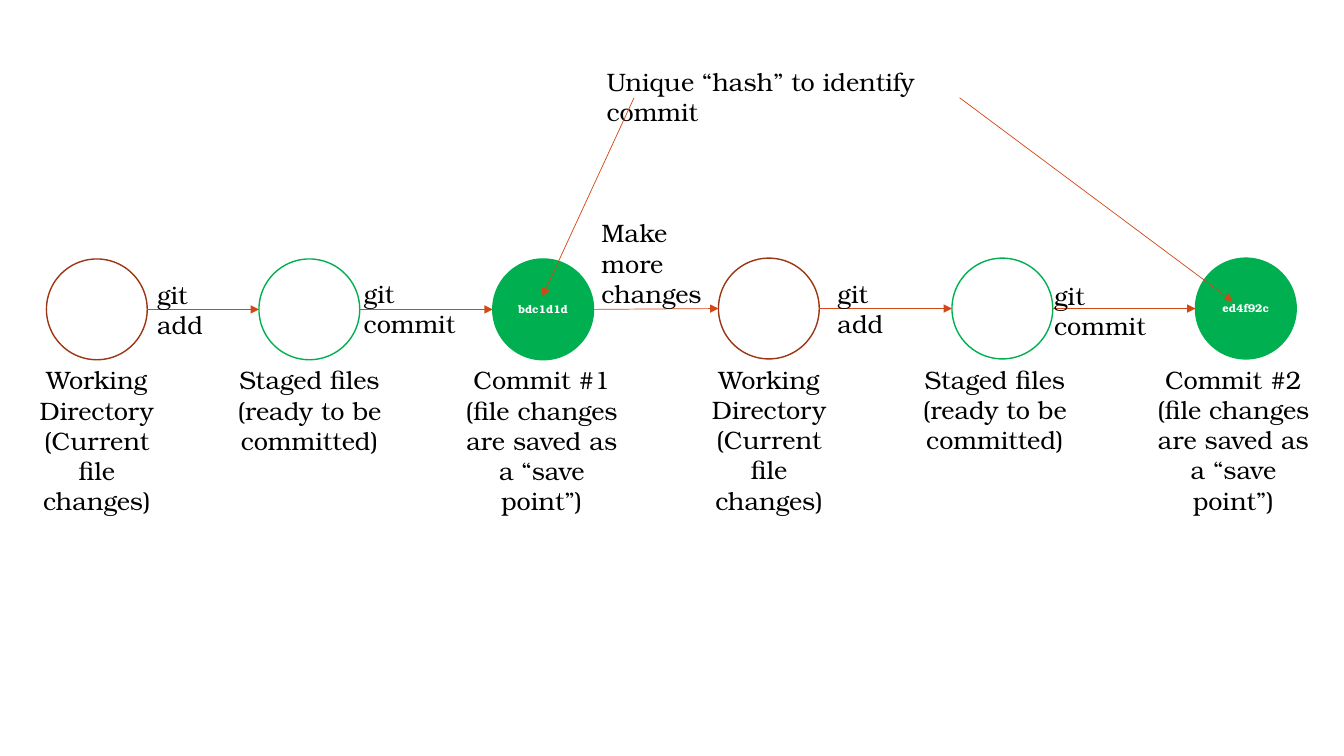
from itertools import pairwise

from lxml import etree
from pptx import Presentation
from pptx.dml.color import RGBColor
from pptx.enum.shapes import MSO_CONNECTOR, MSO_SHAPE
from pptx.enum.text import MSO_ANCHOR, MSO_AUTO_SIZE, PP_ALIGN
from pptx.oxml.ns import qn
from pptx.util import Pt

FONT = "TeX Gyre Bonum"
BLACK = RGBColor(0x00, 0x00, 0x00)
WHITE = RGBColor(0xFF, 0xFF, 0xFF)
BROWN = RGBColor(0x9C, 0x35, 0x11)
GREEN = RGBColor(0x00, 0xB0, 0x50)
ORANGE = RGBColor(0xD3, 0x48, 0x17)

DIAMETER = 72
RADIUS = DIAMETER / 2

WORKING = ["Working Directory", "(Current file changes)"]
STAGED = ["Staged files (ready to be committed)"]
SAVED = "Commit #{} (file changes are saved as a “save point”)"

# left, top, outline, hash, caption left, caption width, caption
STAGES = [
    (33.2, 185, BROWN, None, 9.4, 119.5, WORKING),
    (185, 185, GREEN, None, 161.3, 119.5, STAGED),
    (352, 185, GREEN, "bdc1d1d", 318.2, 137.5, [SAVED.format(1)]),
    (513.2, 184.4, BROWN, None, 489.6, 119.5, WORKING),
    (680, 184.4, GREEN, None, 650.9, 119.5, STAGED),
    (853.9, 184.4, GREEN, "ed4f92c", 812.2, 137.5, [SAVED.format(2)]),
]

# left, top, width, height, text
LABELS = [
    (105.1, 195.8, 72, 28.8, "git add"),
    (252.7, 195.1, 103.7, 28.8, "git commit"),
    (422.6, 151.9, 89.3, 72.7, "Make more changes"),
    (591.1, 195.1, 72, 28.8, "git add"),
    (745.9, 196.6, 103.7, 28.8, "git commit"),
    (426.2, 43.9, 289.4, 28.8, "Unique “hash” to identify commit"),
]

HASH_ARROWS = [((452.9, 69.8), (387.4, 211.7)), ((685.4, 69.8), (880.6, 215.3))]


def write(frame, paragraphs, align, **font):
    """Fill a text frame with evenly formatted paragraphs."""
    frame.word_wrap = True
    for index, text in enumerate(paragraphs):
        paragraph = frame.add_paragraph() if index else frame.paragraphs[0]
        paragraph.alignment = align
        run = paragraph.add_run()
        run.text = text
        color = font.get("color", BLACK)
        run.font.color.rgb = color
        formats = {"name": FONT, "size": font.get("size", Pt(18)), "bold": font.get("bold", False)}
        for attribute, value in formats.items():
            setattr(run.font, attribute, value)


def add_label(slide, box, paragraphs, align=PP_ALIGN.LEFT):
    """Add a wrapping text box that grows with its text."""
    frame = slide.shapes.add_textbox(*map(Pt, box)).text_frame
    frame.auto_size = MSO_AUTO_SIZE.SHAPE_TO_FIT_TEXT
    write(frame, paragraphs, align)


def add_stage(slide, left, top, outline, commit_hash):
    """Add a stage circle, solid when it carries a commit hash."""
    circle = slide.shapes.add_shape(
        MSO_SHAPE.OVAL, Pt(left), Pt(top), Pt(DIAMETER), Pt(DIAMETER))
    circle.shadow.inherit = False
    circle.line.color.rgb = outline
    circle.line.width = Pt(1)
    if not commit_hash:
        circle.fill.background()
        return
    circle.fill.solid()
    circle.fill.fore_color.rgb = outline
    frame = circle.text_frame
    formats = {"margin_left": 0, "margin_right": 0, "vertical_anchor": MSO_ANCHOR.MIDDLE}
    for attribute, value in formats.items():
        setattr(frame, attribute, value)
    write(frame, [commit_hash], PP_ALIGN.CENTER, color=WHITE, size=Pt(8), bold=True)


def add_arrow(slide, start, end):
    """Add a thin straight arrow between two points."""
    arrow = slide.shapes.add_connector(MSO_CONNECTOR.STRAIGHT, *map(Pt, (*start, *end)))
    arrow.line.color.rgb = ORANGE
    arrow.line.width = Pt(0.5)
    etree.SubElement(arrow.line._get_or_add_ln(), qn("a:tailEnd"), type="triangle")
    etree.SubElement(arrow._element.spPr, qn("a:effectLst"))


def main():
    """Build the commit workflow slide."""
    deck = Presentation()
    deck.slide_width, deck.slide_height = Pt(960), Pt(540)
    slide = deck.slides.add_slide(deck.slide_layouts[6])

    for left, top, outline, commit_hash, caption_left, width, caption in STAGES:
        add_stage(slide, left, top, outline, commit_hash)
        height = 72.7 if caption is STAGED else 94.3
        box = (caption_left, top + DIAMETER, width, height)
        add_label(slide, box, caption, PP_ALIGN.CENTER)

    for (left, top, *_), (next_left, next_top, *_) in pairwise(STAGES):
        add_arrow(slide, (left + DIAMETER, top + RADIUS), (next_left, next_top + RADIUS))

    for *box, text in LABELS:
        add_label(slide, box, [text])

    for start, end in HASH_ARROWS:
        add_arrow(slide, start, end)

    deck.save("out.pptx")


if __name__ == "__main__":
    main()
